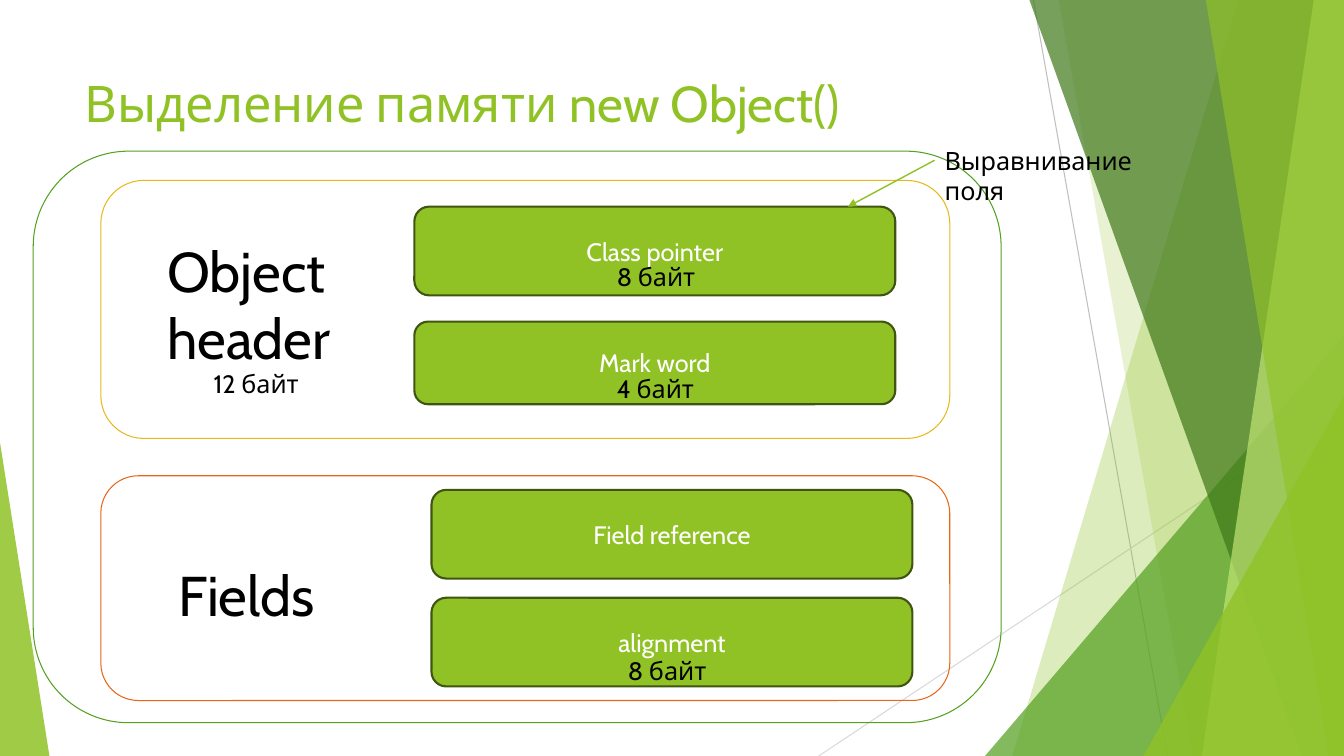
import lxml.etree
import pptx
import pptx.dml.color
import pptx.enum.shapes
import pptx.enum.text
import pptx.oxml.ns
import pptx.util

PX = 9144
WIDTH, HEIGHT = 1333, 750
FONT = "Cabin"
COLORS = {
    "green": "90C226", "leaf": "54A021", "forest": "3F7819", "lime": "C0E474",
    "edge": "3F5511", "gold": "E6B91E", "orange": "E76618", "gray": "BFBFBF",
    "silver": "D9D9D9", "black": "000000", "white": "FFFFFF",
}
KINDS = pptx.enum.shapes.MSO_SHAPE


def rgb(name):
    """Return the named colour."""
    return pptx.dml.color.RGBColor.from_string(COLORS[name])


def emu(*lengths):
    """Turn px lengths into EMU."""
    return [length * PX for length in lengths]


def paint(shape, fill=None, alpha=100, line=None, weight=0.75):
    """Set the fill, its opacity in percent, and the outline."""
    shape.shadow.inherit = False
    if fill:
        shape.fill.solid()
        shape.fill.fore_color.rgb = rgb(fill)
        if alpha < 100:
            color = shape.fill._xPr.find(".//" + pptx.oxml.ns.qn("a:srgbClr"))
            opacity = lxml.etree.SubElement(color, pptx.oxml.ns.qn("a:alpha"))
            opacity.set("val", str(alpha * 1000))
    else:
        shape.fill.background()
    if line:
        shape.line.color.rgb = rgb(line)
        shape.line.width = pptx.util.Pt(weight)
    else:
        shape.line.fill.background()


def add_line(slide, start, end, color, weight=0.75):
    """Draw a straight line without a shadow."""
    line = slide.shapes.add_connector(
        pptx.enum.shapes.MSO_CONNECTOR.STRAIGHT, *emu(*start, *end))
    line.line.color.rgb = rgb(color)
    line.line.width = pptx.util.Pt(weight)
    lxml.etree.SubElement(line._element.spPr, pptx.oxml.ns.qn("a:effectLst"))
    return line


def write(frame, lines, size, color, align=None):
    """Write one paragraph per line."""
    frame.word_wrap = True
    for index, words in enumerate(lines):
        paragraph = frame.add_paragraph() if index else frame.paragraphs[0]
        paragraph.alignment = align
        run = paragraph.add_run()
        run.text = words
        run.font.size = pptx.util.Pt(size)
        run.font.name = FONT
        run.font.color.rgb = rgb(color)


def add_text(slide, box, lines, size=18, color="black"):
    """Add a text box."""
    label = slide.shapes.add_textbox(*emu(*box))
    write(label.text_frame, lines, size, color)
    return label


def add_frame(slide, box, color):
    """Add an empty rounded outline."""
    frame = slide.shapes.add_shape(KINDS.ROUNDED_RECTANGLE, *emu(*box))
    paint(frame, line=color)


def add_band(slide, top_left, bottom_left, fill, alpha):
    """Add a slanted band that runs to the right edge of the slide."""
    outline = slide.shapes.build_freeform(top_left, 0, scale=PX)
    outline.add_line_segments(
        [(WIDTH, 0), (WIDTH, HEIGHT), (bottom_left, HEIGHT)], close=True)
    paint(outline.convert_to_shape(), fill, alpha)


def add_corner(slide, left, top, width, apex, fill, alpha):
    """Add a right triangle that stands on the bottom edge."""
    corner = slide.shapes.add_shape(
        KINDS.ISOSCELES_TRIANGLE, *emu(left, top, width, HEIGHT - top))
    corner.adjustments[0] = apex
    paint(corner, fill, alpha)


def add_backdrop(slide):
    """Draw the translucent facets at the slide edges."""
    add_line(slide, (1025, 0), (1158, HEIGHT), "gray")
    add_line(slide, (WIDTH, 403), (812, HEIGHT), "silver")
    add_band(slide, 1228, 1004, "green", 30)
    add_band(slide, 1050, 1183, "green", 20)
    add_corner(slide, 977, 333, WIDTH - 977, 1, "leaf", 72)
    add_band(slide, 1021, 1291, "forest", 70)
    add_band(slide, 1303, 1192, "lime", 70)
    add_band(slide, 1196, 1318, "green", 65)
    add_corner(slide, 1134, 393, WIDTH - 1134, 1, "green", 80)
    add_corner(slide, 0, 439, 49, 0, "green", 85)


def add_bar(slide, box, name, size_label=None, label_offset=(0, 0)):
    """Add a filled memory slot with an optional size in bytes."""
    left, top, _, _ = box
    bar = slide.shapes.add_shape(KINDS.ROUNDED_RECTANGLE, *emu(*box))
    paint(bar, "green", line="edge", weight=1.5)
    bar.text_frame.vertical_anchor = pptx.enum.text.MSO_ANCHOR.MIDDLE
    write(bar.text_frame, [name], 18, "white", pptx.enum.text.PP_ALIGN.CENTER)
    if size_label:
        dx, dy = label_offset
        add_text(slide, (left + dx, top + dy, 107, 40), [size_label])


def add_header_section(slide, box):
    """Draw the object header with its two slots."""
    left, top, _, _ = box
    add_frame(slide, box, "gold")
    add_text(slide, (left + 56, top + 51, 277, 145), ["Object", "header"], 40)
    add_text(slide, (left + 102, top + 181, 107, 40), ["12 байт"])
    add_bar(slide, (left + 311, top + 26, 477, 88), "Class pointer", "8 байт", (191, 49))
    add_bar(slide, (left + 311, top + 140, 477, 82), "Mark word", "4 байт", (191, 46))


def add_fields_section(slide, box):
    """Draw the fields with their two slots."""
    left, top, _, _ = box
    add_frame(slide, box, "orange")
    add_text(slide, (left + 67, top + 79, 206, 77), ["Fields"], 40)
    add_bar(slide, (left + 328, top + 14, 477, 88), "Field reference")
    add_bar(slide, (left + 328, top + 121, 477, 88), "alignment", "8 байт", (185, 52))


def add_callout(slide, box, target):
    """Add the alignment note and its arrow to the target."""
    left, top, _, height = box
    note = add_text(slide, box, ["Выравнивание поля"])
    arrow = add_line(slide, (left, top + height // 2), target, "green", 1)
    arrow.begin_connect(note, 1)
    tail = lxml.etree.SubElement(
        arrow.line._get_or_add_ln(), pptx.oxml.ns.qn("a:tailEnd"))
    tail.set("type", "triangle")


def add_memory_slide(deck):
    """Build the slide on memory allocation."""
    slide = deck.slides.add_slide(deck.slide_layouts[6])
    add_backdrop(slide)
    add_text(slide, (74, 67, 940, 144), ["Выделение памяти new Object()"], 36, "green")
    add_frame(slide, (33, 150, 960, 567), "leaf")
    add_header_section(slide, (100, 179, 842, 256))
    add_fields_section(slide, (100, 472, 842, 223))
    add_callout(slide, (927, 139, 262, 40), (841, 205))


def main():
    """Create and save the deck."""
    deck = pptx.Presentation()
    deck.slide_width, deck.slide_height = emu(WIDTH, HEIGHT)
    add_memory_slide(deck)
    deck.save("out.pptx")


if __name__ == "__main__":
    main()
